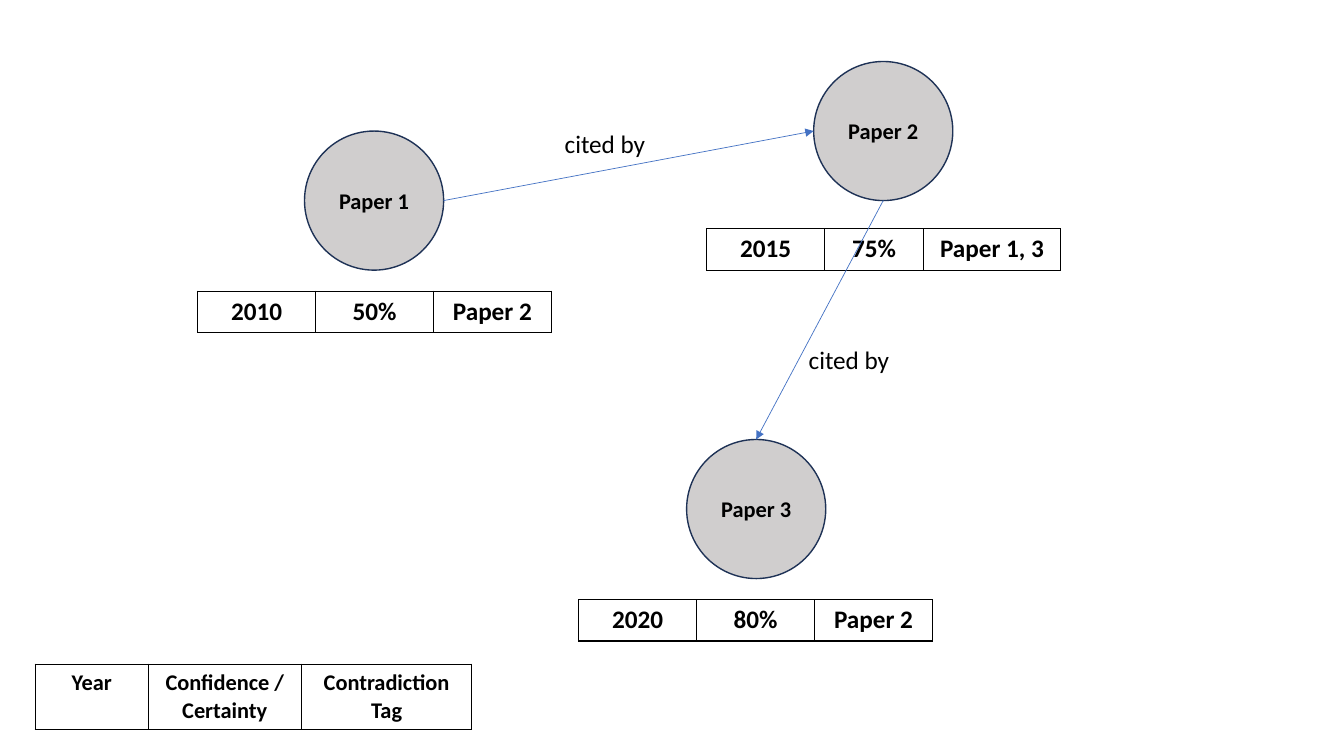
"""Build a citation graph slide: papers, citation arrows and attribute tables."""
from dataclasses import dataclass

from lxml import etree
from pptx import Presentation
from pptx.dml.color import RGBColor
from pptx.enum.shapes import MSO_CONNECTOR, MSO_SHAPE
from pptx.enum.text import MSO_ANCHOR, MSO_AUTO_SIZE, PP_ALIGN
from pptx.oxml.ns import qn
from pptx.util import Pt

PX = 9144
CIRCLE = 138
ROW = 41
OVAL = MSO_SHAPE.OVAL
STRAIGHT = MSO_CONNECTOR.STRAIGHT
CENTER = PP_ALIGN.CENTER
MIDDLE = MSO_ANCHOR.MIDDLE
GROW = MSO_AUTO_SIZE.SHAPE_TO_FIT_TEXT


@dataclass(frozen=True)
class Theme:
    """Colours, font and sizes of the slide."""
    font: str = "Calibri"
    ink: str = "000000"
    paper: str = "D0CECE"
    outline: str = "1E3256"
    arrow: str = "4472C4"
    small: int = 16
    body: int = 18


THEME = Theme()

PAPERS = [("Paper 1", 302, 130), ("Paper 2", 807, 61), ("Paper 3", 681, 436)]
CITATIONS = [((440, 199), (807, 130)), ((876, 199), (750, 436))]
LABELS = [(531, 122), (773, 337)]
TABLES = [
    (196, 289, ROW, (117, 117, 117), ("2010", "50%", "Paper 2"), THEME.body),
    (701, 227, ROW, (117, 98, 136), ("2015", "75%", "Paper 1, 3"), THEME.body),
    (574, 595, ROW, (117, 117, 117), ("2020", "80%", "Paper 2"), THEME.body),
    (35, 659, 63, (112, 152, 169),
     ("Year", "Confidence / Certainty", "Contradiction Tag"), THEME.small),
]


def px(*lengths):
    """Turn lengths in px into EMU."""
    return [n * PX for n in lengths]


def rgb(color):
    """Return the colour object of a hex string."""
    return RGBColor.from_string(color)


def write(tf, text, size=THEME.body, bold=False, color=THEME.ink, align=CENTER):
    """Put one formatted run into a text frame."""
    tf.word_wrap = True
    p = tf.paragraphs[0]
    p.alignment = align
    r = p.add_run()
    r.text = text
    r.font.name = THEME.font
    r.font.size = Pt(size)
    r.font.bold = bold
    r.font.color.rgb = rgb(color)


def add_paper(s, name, x, y):
    """Add a paper as a named circle."""
    sp = s.shapes.add_shape(OVAL, *px(x, y, CIRCLE, CIRCLE))
    sp.shadow.inherit = False
    sp.fill.solid()
    sp.fill.fore_color.rgb = rgb(THEME.paper)
    sp.line.color.rgb = rgb(THEME.outline)
    sp.line.width = Pt(1)
    sp.text_frame.vertical_anchor = MIDDLE
    write(sp.text_frame, name, size=THEME.small, bold=True)


def add_citation(s, start, end):
    """Add an arrow from a paper to the one that cites it."""
    cxn = s.shapes.add_connector(STRAIGHT, *px(*start, *end))
    cxn.line.color.rgb = rgb(THEME.arrow)
    cxn.line.width = Pt(0.5)
    ln = cxn.line._get_or_add_ln()
    etree.SubElement(ln, qn("a:tailEnd"), type="triangle")
    etree.SubElement(cxn._element.spPr, qn("a:effectLst"))


def add_label(s, x, y, text):
    """Add a text label beside an arrow."""
    tf = s.shapes.add_textbox(*px(x, y, 138, 40)).text_frame
    tf.auto_size = GROW
    write(tf, text)


def set_borders(cell):
    """Draw a thin line on all four sides of a cell."""
    tc_pr = cell._tc.get_or_add_tcPr()
    for i, side in enumerate(("lnL", "lnR", "lnT", "lnB")):
        ln = etree.Element(qn(f"a:{side}"), w=str(Pt(1)))
        fill = etree.SubElement(ln, qn("a:solidFill"))
        etree.SubElement(fill, qn("a:srgbClr"), val=THEME.ink)
        tc_pr.insert(i, ln)


def add_attributes(s, x, y, height, widths, values, size):
    """Add a one-row table of paper attributes."""
    frame = s.shapes.add_table(1, len(values), *px(x, y, sum(widths), height))
    table = frame.table
    table.first_row = table.horz_banding = False
    for col, width, cell, value in zip(table.columns, widths, table.rows[0].cells, values):
        col.width = width * PX
        cell.fill.background()
        set_borders(cell)
        write(cell.text_frame, value, size=size, bold=True)


def main():
    """Build and save the slide."""
    prs = Presentation()
    prs.slide_width, prs.slide_height = px(1333, 750)
    s = prs.slides.add_slide(prs.slide_layouts[6])
    for paper in PAPERS:
        add_paper(s, *paper)
    for table in TABLES:
        add_attributes(s, *table)
    for start, end in CITATIONS:
        add_citation(s, start, end)
    for x, y in LABELS:
        add_label(s, x, y, "cited by")
    prs.save("out.pptx")


if __name__ == "__main__":
    main()
